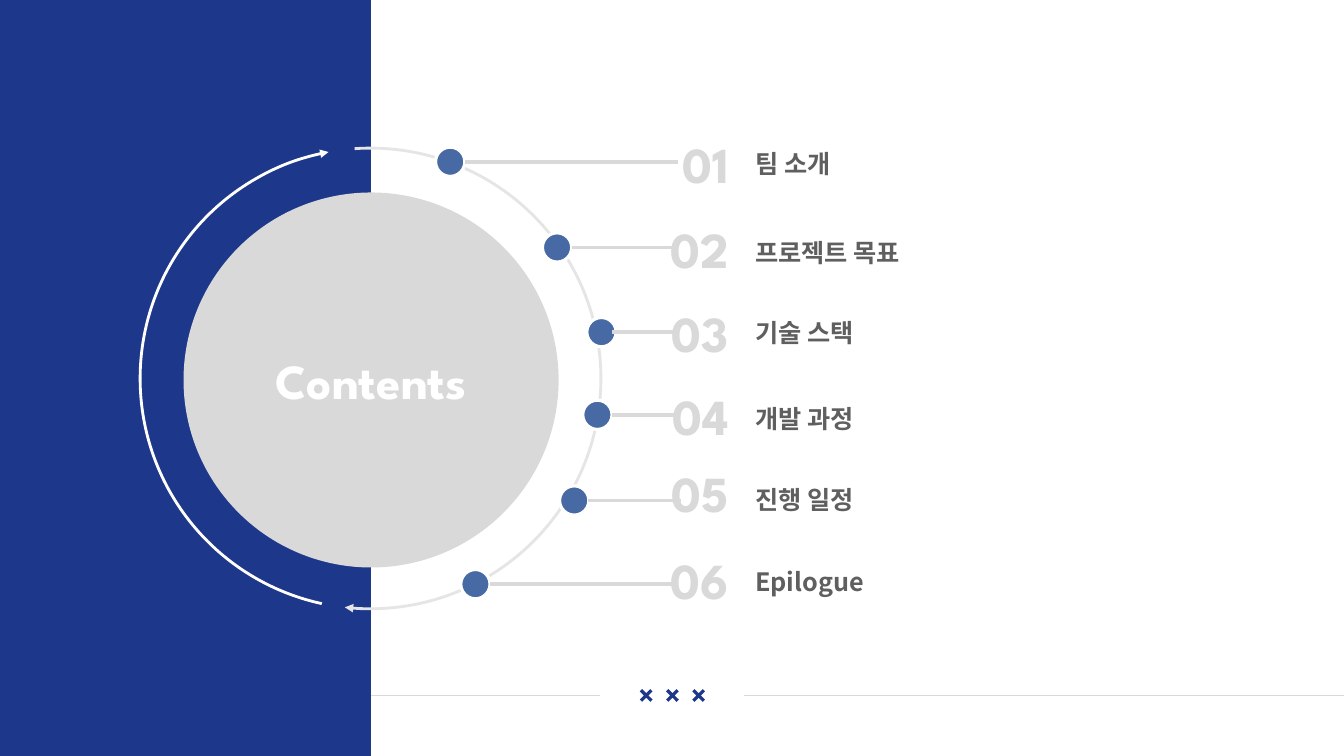
import lxml.etree
import pptx
import pptx.dml.color
import pptx.enum.shapes
import pptx.enum.text
import pptx.oxml.ns
import pptx.util

SHAPE = pptx.enum.shapes.MSO_SHAPE
ALIGN = pptx.enum.text.PP_ALIGN
NAVY, BLUE, WHITE = "1D378B", "486AA4", "FFFFFF"
SILVER, PALE, SLATE = "D9D9D9", "E5E5E5", "5F5F5F"


def colour(value):
    return pptx.dml.color.RGBColor.from_string(value)


def add_xml(parent, tag, **attributes):
    element = lxml.etree.SubElement(parent, pptx.oxml.ns.qn(tag))
    for name, value in attributes.items():
        element.set(name, value)


class ContentsSlide:
    columns, rows = 1333, 750
    display_font, body_font = "League Spartan", "Noto Sans CJK KR"

    def __init__(self, presentation):
        self.cell_width = presentation.slide_width / self.columns
        self.cell_height = presentation.slide_height / self.rows
        self.slide = presentation.slides.add_slide(presentation.slide_layouts[5])
        self.shapes = self.slide.shapes

    def place(self, left, top, width, height):
        return (round(left * self.cell_width), round(top * self.cell_height),
                round(width * self.cell_width), round(height * self.cell_height))

    def stroke(self, line, tint, weight):
        line.color.rgb = colour(tint)
        line.width = pptx.util.Pt(weight)

    def shape(self, kind, area, fill=None, outline=None, weight=1, adjustments=()):
        shape = self.shapes.add_shape(kind, *self.place(*area))
        shape.shadow.inherit = False
        for index, value in enumerate(adjustments):
            shape.adjustments[index] = value
        if fill:
            shape.fill.solid()
            shape.fill.fore_color.rgb = colour(fill)
        else:
            shape.fill.background()
        if outline:
            self.stroke(shape.line, outline, weight)
        else:
            shape.line.fill.background()
        return shape

    def arc_arrow(self, tint, adjustments, arrow_end, mirrored=False):
        arc = self.shape(SHAPE.ARC, (139, 147, 457, 457), None, tint, 2, adjustments)
        add_xml(arc.line._get_or_add_ln(), arrow_end, type="triangle")
        if mirrored:
            arc._element.spPr.xfrm.set("flipH", "1")

    def rule(self, start, end, row, weight):
        left, top, right, bottom = self.place(start, row, end, row)
        rule = self.shapes.add_connector(
            pptx.enum.shapes.MSO_CONNECTOR.STRAIGHT, left, top, right, bottom)
        self.stroke(rule.line, SILVER, weight)
        add_xml(rule._element.spPr, "a:effectLst")

    def typeset(self, holder, wording, family, size, tint, alignment):
        frame = holder.text_frame
        frame.word_wrap = True
        frame.auto_size = pptx.enum.text.MSO_AUTO_SIZE.NONE
        frame.vertical_anchor = pptx.enum.text.MSO_ANCHOR.MIDDLE
        frame.margin_left = frame.margin_right = 0
        frame.margin_top = frame.margin_bottom = 0
        paragraph = frame.paragraphs[0]
        paragraph.text = wording
        paragraph.alignment = alignment
        font = paragraph.font
        font.name, font.size, font.bold = family, pptx.util.Pt(size), True
        font.color.rgb = colour(tint)
        add_xml(font._element, "a:ea", typeface=family)

    def text(self, area, *style):
        self.typeset(self.shapes.add_textbox(*self.place(*area)), *style)

    def title(self, area, wording):
        title = self.shapes.title
        title.left, title.top, title.width, title.height = self.place(*area)
        self.typeset(title, wording, self.display_font, 35, WHITE, ALIGN.CENTER)
        self.shapes._spTree.append(title._element)

    def chapter(self, number, topic, number_top, topic_top, dot, line):
        self.text((749, topic_top, 263, 30), topic, self.body_font, 18, SLATE, ALIGN.LEFT)
        self.shape(SHAPE.OVAL, (*dot, 29, 29), BLUE, WHITE, 2.25)
        self.text((647, number_top, 76, 61), f"{number:02}",
                  self.display_font, 36, SILVER, ALIGN.RIGHT)
        self.rule(*line, dot[1] + 14.6, 2.48)


def main():
    presentation = pptx.Presentation()
    presentation.slide_width = pptx.util.Inches(13.33)
    presentation.slide_height = pptx.util.Inches(7.5)
    contents = ContentsSlide(presentation)

    for start, end in ((0, 595), (738, 1333)):
        contents.rule(start, end, 690, 0.5)
    for step in range(3):
        contents.shape(SHAPE.MATH_MULTIPLY, (631 + 26 * step, 680, 20, 20),
                       NAVY, adjustments=(0.157,))

    contents.shape(SHAPE.RECTANGLE, (0, 0, 368, 750), NAVY)
    hub = (182, 191, 372, 372)
    contents.shape(SHAPE.OVAL, hub, SILVER)
    contents.title(hub, "Contents")
    contents.arc_arrow(PALE, (159.625, 57.845), "a:tailEnd")
    contents.arc_arrow(WHITE, (168.3, 46.682), "a:headEnd", mirrored=True)

    chapters = (
        ("팀 소개", 132, 147, (432, 146), (461, 672)),
        ("프로젝트 목표", 216, 235, (538, 231), (567, 672)),
        ("기술 스택", 299, 315, (582, 315), (607, 672)),
        ("개발 과정", 382, 400, (578, 397), (607, 672)),
        ("진행 일정", 458, 481, (555, 482), (583, 675)),
        ("Epilogue", 544, 562, (457, 565), (486, 672)),
    )
    for number, chapter in enumerate(chapters, 1):
        contents.chapter(number, *chapter)

    presentation.save("out.pptx")


if __name__ == "__main__":
    main()
